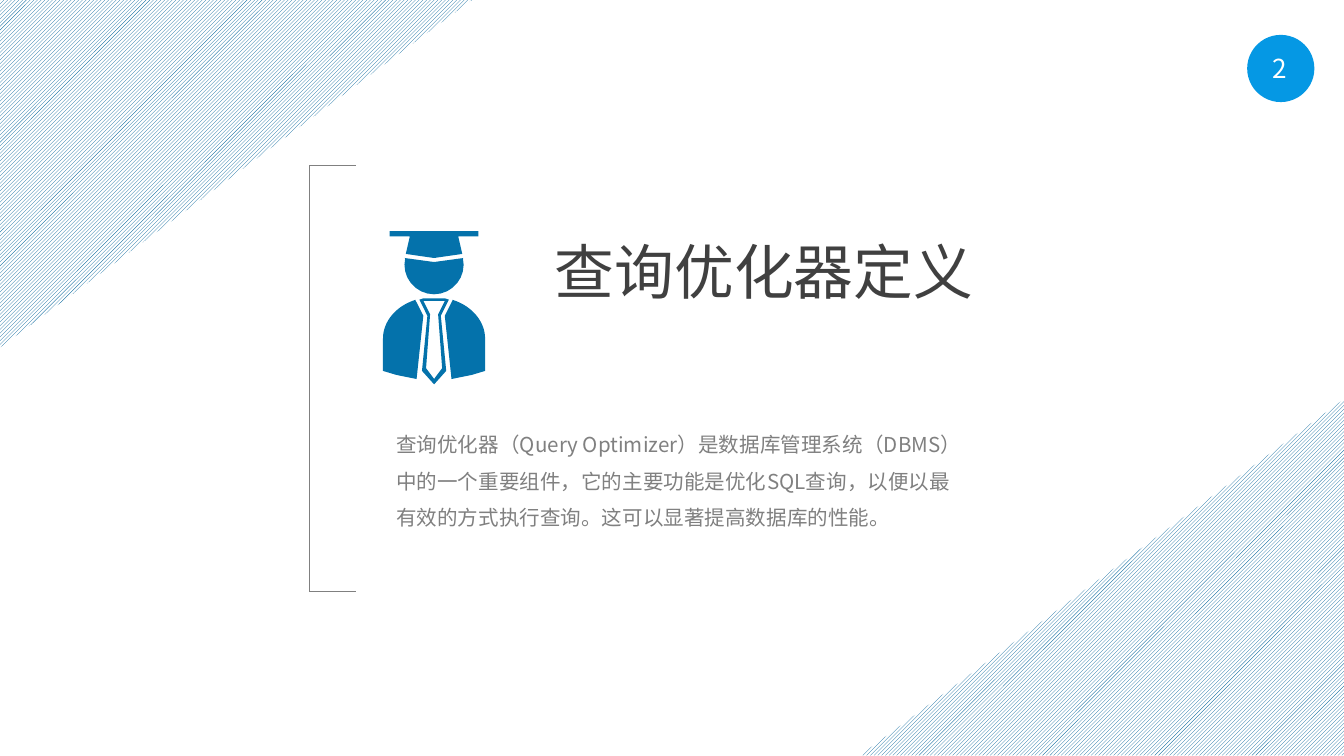
"""Build the section slide that defines the query optimizer."""
from math import cos, radians, sin

from lxml import etree
from pptx import Presentation
from pptx.dml.color import RGBColor
from pptx.enum.dml import MSO_PATTERN
from pptx.enum.shapes import MSO_CONNECTOR, MSO_SHAPE
from pptx.enum.text import PP_ALIGN
from pptx.oxml.ns import qn
from pptx.util import Pt

EMU_PER_PX = 9144
WIDTH = 1000
HEIGHT = WIDTH * 9 / 16
FONT = "Noto Sans CJK SC"
WHITE = RGBColor(0xFF, 0xFF, 0xFF)
DARK = RGBColor(0x40, 0x40, 0x40)
GRAY = RGBColor(0x80, 0x80, 0x80)
STRIPE = RGBColor(0x00, 0x63, 0x9B)
ICON = RGBColor(0x04, 0x72, 0xAB)
BADGE = RGBColor(0x05, 0x98, 0xE4)
STRIPES = MSO_PATTERN.DARK_UPWARD_DIAGONAL
STRAIGHT = MSO_CONNECTOR.STRAIGHT
TRIANGLE, OVAL = MSO_SHAPE.RIGHT_TRIANGLE, MSO_SHAPE.OVAL
LEFT, CENTER = PP_ALIGN.LEFT, PP_ALIGN.CENTER
ICON_AXIS = 323


def px(length):
    return round(length * EMU_PER_PX)


def arc(center, radii, start, end, steps=16):
    angles = [radians(start + (end - start) * i / steps) for i in range(steps + 1)]
    return [(center[0] + radii[0] * cos(a), center[1] + radii[1] * sin(a)) for a in angles]


def mirror(points):
    return [(2 * ICON_AXIS - x, y) for x, y in points]


def symmetric(half):
    return half + mirror(half)[::-1]


class SlideBuilder:
    """Holds the style and the current slide."""

    def __init__(self, slide, font):
        self.slide = slide
        self.font = font

    def group(self):
        return self.slide.shapes.add_group_shape().shapes

    def text(self, content, left, top, width, height, size, color, align=LEFT, spacing=None):
        box = self.slide.shapes.add_textbox(px(left), px(top), px(width), px(height))
        box.text_frame.word_wrap = True
        box.text_frame.text = content
        paragraph = box.text_frame.paragraphs[0]
        paragraph.alignment = align
        paragraph.line_spacing = spacing
        run = paragraph.runs[0]
        run.font.name = self.font
        run.font.size = Pt(size)
        run.font.color.rgb = color
        properties = run._r.get_or_add_rPr()
        etree.SubElement(properties, qn("a:ea"), typeface=self.font)

    def outline(self, shapes, color, *contours):
        scaled = [[(px(x), px(y)) for x, y in contour] for contour in contours]
        builder = shapes.build_freeform(*scaled[0][0])
        builder.add_line_segments(scaled[0][1:], close=True)
        for contour in scaled[1:]:
            builder.move_to(*contour[0])
            builder.add_line_segments(contour[1:], close=True)
        self.paint(builder.convert_to_shape(), color)

    def line(self, shapes, start, end, color, width):
        connector = shapes.add_connector(STRAIGHT, *map(px, start + end))
        connector.line.color.rgb = color
        connector.line.width = Pt(width)
        etree.SubElement(connector._element.spPr, qn("a:effectLst"))

    def oval(self, left, top, size, color):
        shape = self.slide.shapes.add_shape(OVAL, px(left), px(top), px(size), px(size))
        self.paint(shape, color)

    def striped_corner(self, left, top, width, height, rotation):
        shape = self.slide.shapes.add_shape(TRIANGLE, px(left), px(top), px(width), px(height))
        shape.rotation = rotation
        shape.shadow.inherit = False
        shape.line.fill.background()
        shape.fill.patterned()
        shape.fill.pattern = STRIPES
        shape.fill.fore_color.rgb = STRIPE
        shape.fill.back_color.rgb = WHITE

    def paint(self, shape, color):
        shape.shadow.inherit = False
        shape.fill.solid()
        shape.fill.fore_color.rgb = color
        shape.line.fill.background()


def draw_graduate(builder):
    group = builder.group()
    shoulder = [(309, 223), (315, 235), (310, 282), (295, 279), (285, 276)]
    shoulder += arc((ICON_AXIS, 252), (38, 31), 180, 248)
    builder.outline(group, ICON, mirror(shoulder))
    builder.outline(group, ICON, shoulder)
    tie = symmetric([(315, 222), (312, 223), (318, 235), (314, 276), (323, 286)])
    tie_inside = symmetric([(315, 224), (320, 234), (317, 274), (323, 282)])
    builder.outline(group, ICON, tie, tie_inside[::-1])
    cap = symmetric([(290, 172), (290, 176), (305, 176), (302, 189), (323, 192)])
    builder.outline(group, ICON, cap)
    face = [(301, 192), (323, 195), (345, 192)]
    face += arc((ICON_AXIS, 197), (22, 22), -13, 193)
    builder.outline(group, ICON, face)


def draw_bracket(builder, left, right, top, bottom):
    group = builder.group()
    builder.line(group, (left, top), (left, bottom), GRAY, 0.25)
    for y in (top, bottom):
        builder.line(group, (left, y), (right, y), GRAY, 0.25)


def main():
    presentation = Presentation()
    presentation.slide_width = px(WIDTH)
    presentation.slide_height = px(HEIGHT)
    slide = presentation.slides.add_slide(presentation.slide_layouts[6])
    builder = SlideBuilder(slide, FONT)

    builder.text("查询优化器定义", 403, 170, 367, 118, 32, DARK)
    builder.text(
        "查询优化器（Query Optimizer）是数据库管理系统（DBMS）中的一个重要组件，"
        "它的主要功能是优化SQL查询，以便以最有效的方式执行查询。"
        "这可以显著提高数据库的性能。",
        285, 307, 443, 90, 11, GRAY, spacing=1.5)
    draw_graduate(builder)
    draw_bracket(builder, 230, 265, 123, 440)
    builder.striped_corner(42, -53, 268, 364, 90)
    builder.striped_corner(688, 246, 268, 364, 270)
    builder.oval(928, 26, 50, BADGE)
    builder.text("2", 928, 34, 49, 34, 14, WHITE, CENTER)
    presentation.save("out.pptx")


if __name__ == "__main__":
    main()
